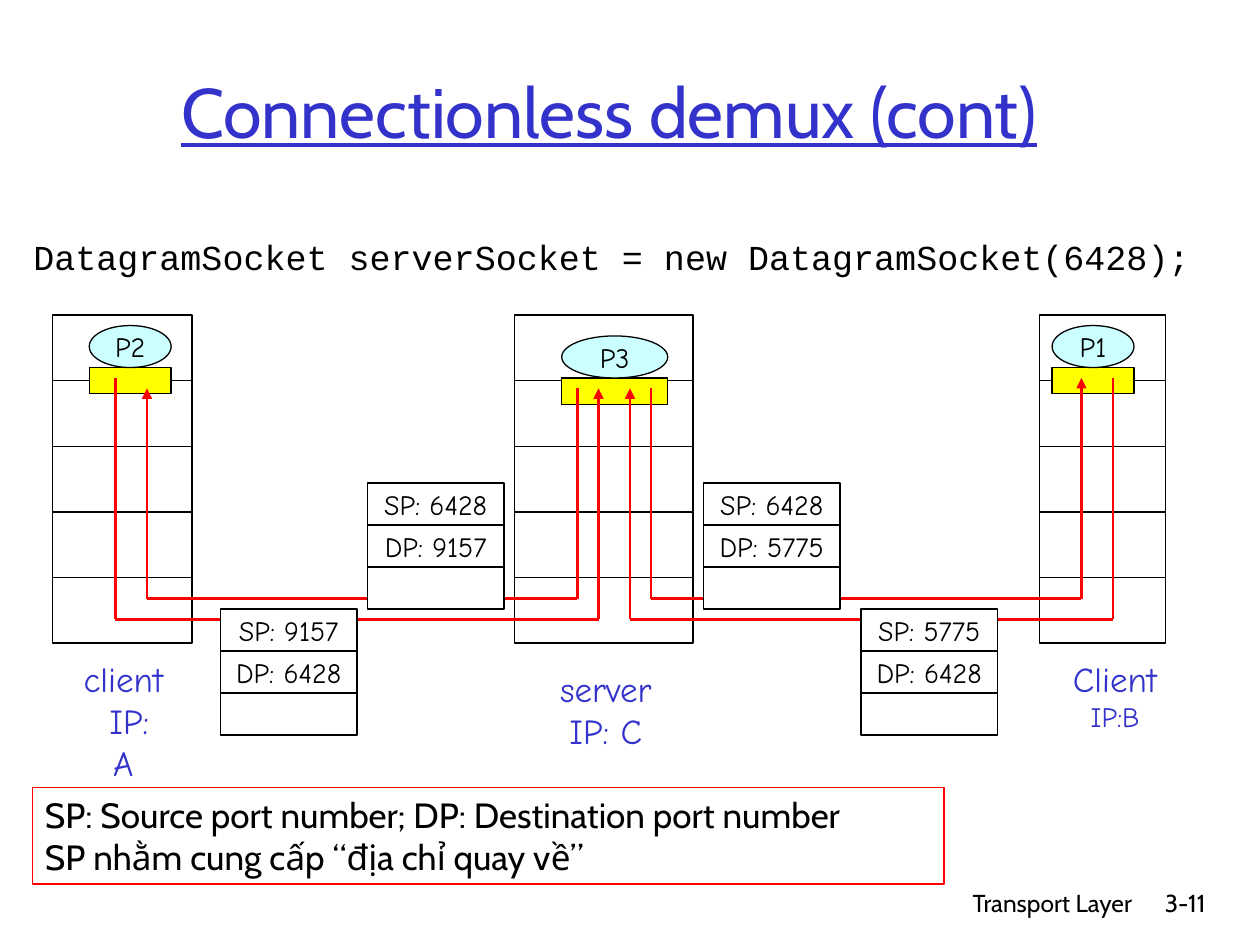
from itertools import pairwise
from typing import NamedTuple

from lxml import etree
from pptx import Presentation
from pptx.dml.color import RGBColor
from pptx.enum.shapes import MSO_CONNECTOR, MSO_SHAPE
from pptx.enum.text import MSO_ANCHOR, PP_ALIGN
from pptx.oxml.ns import qn
from pptx.util import Inches, Pt

RECT, OVAL = MSO_SHAPE.RECTANGLE, MSO_SHAPE.OVAL
LINE = MSO_CONNECTOR.STRAIGHT
TOP, MID = MSO_ANCHOR.TOP, MSO_ANCHOR.MIDDLE
LEFT, CENTER, RIGHT = PP_ALIGN.LEFT, PP_ALIGN.CENTER, PP_ALIGN.RIGHT

HEX = {"black": "000000", "white": "FFFFFF", "blue": "3333CC",
       "red": "FF0000", "yellow": "FFFF00", "cyan": "CCFFFF"}
SANS, HAND, CODE = "Cabin", "Comic Neue", "Courier New"

# The grid has 120 columns and 90 rows, twelve to the inch
UNIT = Inches(1) / 12
CELL = 6.25      # height of one layer of a host
SLOT = 4         # height of one field of a segment


class Box(NamedTuple):
    x: float
    y: float
    w: float
    h: float


class Host(NamedTuple):
    x: float
    w: float
    proc: str
    oval: Box
    tag: Box
    lines: tuple[str, str]
    sizes: tuple[int, int] = (20, 20)


class Segment(NamedTuple):
    x: float
    y: float
    source: int
    dest: int


HOSTS = [
    Host(5, 13.3, "P2", Box(8.5, 31, 7.8, 4),
         Box(6.6, 62, 10.3, 9.2), ("client", " IP: A")),
    Host(99, 12, "P1", Box(100.2, 31, 7.8, 4),
         Box(101, 62, 10.4, 8.4), ("Client", "IP:B"), (20, 16)),
    Host(49, 17, "P3", Box(53.5, 32, 10.1, 4),
         Box(52.1, 63, 11.2, 9.2), ("server", "IP: C")),
]
ROUTES = [
    [(11, 36), (11, 59), (57, 59), (57, 37)],
    [(55, 37), (55, 57), (14, 57), (14, 37)],
    [(106, 36), (106, 59), (60, 59), (60, 37)],
    [(62, 37), (62, 57), (103, 57), (103, 36)],
]
SEGMENTS = [
    Segment(35, 46, 6428, 9157),
    Segment(21, 58, 9157, 6428),
    Segment(67, 46, 6428, 5775),
    Segment(82, 58, 5775, 6428),
]


def span(*cells: float) -> list[int]:
    return [round(cell * UNIT) for cell in cells]


def paint(name: str) -> RGBColor:
    return RGBColor.from_string(HEX[name])


def write(shape, *lines: str, font=HAND, sizes=(16,), color="black",
          align=CENTER, anchor=MID, wrap=False, under=None) -> None:
    frame = shape.text_frame
    frame.word_wrap = wrap
    frame.vertical_anchor = anchor
    frame.text = "\n".join(lines)
    for num, para in enumerate(frame.paragraphs):
        para.alignment = align
        face = para.runs[0].font
        face.name = font
        face.size = Pt(sizes[num % len(sizes)])
        face.color.rgb = paint(color)
        face.underline = under


def label(slide, box: Box, *lines: str, **form) -> None:
    write(slide.shapes.add_textbox(*span(*box)), *lines, **form)


def block(slide, box: Box, kind=RECT, fill="white", edge="black"):
    shape = slide.shapes.add_shape(kind, *span(*box))
    shape.shadow.inherit = False
    if fill:
        shape.fill.solid()
        shape.fill.fore_color.rgb = paint(fill)
    else:
        shape.fill.background()
    shape.line.color.rgb = paint(edge)
    shape.line.width = Pt(0.75)
    return shape


def route(slide, points: list[tuple[float, float]]) -> None:
    for start, end in pairwise(points):
        wire = slide.shapes.add_connector(LINE, *span(*start, *end))
        wire.line.color.rgb = paint("red")
        wire.line.width = Pt(1.5)
        props = wire._element.spPr
        etree.SubElement(props, qn("a:effectLst"))
        if end == points[-1]:
            tip = etree.SubElement(props.find(qn("a:ln")), qn("a:tailEnd"))
            tip.set("type", "triangle")


def host(slide, item: Host) -> None:
    for row in range(5):
        block(slide, Box(item.x, 30 + row * CELL, item.w, CELL))
    oval = item.oval
    block(slide, Box(oval.x, oval.y + oval.h, oval.w, 2.5), fill="yellow")
    write(block(slide, oval, OVAL, "cyan"), item.proc)
    label(slide, item.tag, *item.lines, sizes=item.sizes, color="blue",
          anchor=TOP)


def segment(slide, item: Segment) -> None:
    fields = (f"SP: {item.source}", f"DP: {item.dest}", "")
    for row, field in enumerate(fields):
        slot = block(slide, Box(item.x, item.y + row * SLOT, 13, SLOT))
        if field:
            write(slot, field)


def main() -> None:
    deck = Presentation()
    deck.slide_width, deck.slide_height = span(120, 90)
    slide = deck.slides.add_slide(deck.slide_layouts[6])

    # Footer, title and code
    for box, words in ((Box(71, 84, 38, 6), "Transport Layer"),
                       (Box(107.2, 84, 8.8, 6), "3-11")):
        label(slide, box, words, font=SANS, sizes=(14,), align=RIGHT,
              anchor=TOP, wrap=True)
    label(slide, Box(7, 3, 102, 15), "Connectionless demux (cont)",
          font=SANS, sizes=(40,), color="blue", wrap=True, under=True)
    label(slide, Box(2, 21.8, 114, 8),
          "DatagramSocket serverSocket = new DatagramSocket(6428);",
          font=CODE, sizes=(20,), align=LEFT, anchor=TOP, wrap=True)

    # Hosts, the routes between them and the segments on top
    for item in HOSTS:
        host(slide, item)
    for points in ROUTES:
        route(slide, points)
    for item in SEGMENTS:
        segment(slide, item)

    # Legend
    note = block(slide, Box(3.1, 75, 86.8, 9.2), fill=None, edge="red")
    write(note, "SP: Source port number; DP: Destination port number",
          "SP nhằm cung cấp “địa chỉ quay về”",
          font=SANS, sizes=(20,), align=LEFT, anchor=TOP, wrap=True)

    deck.save("out.pptx")


if __name__ == "__main__":
    main()
